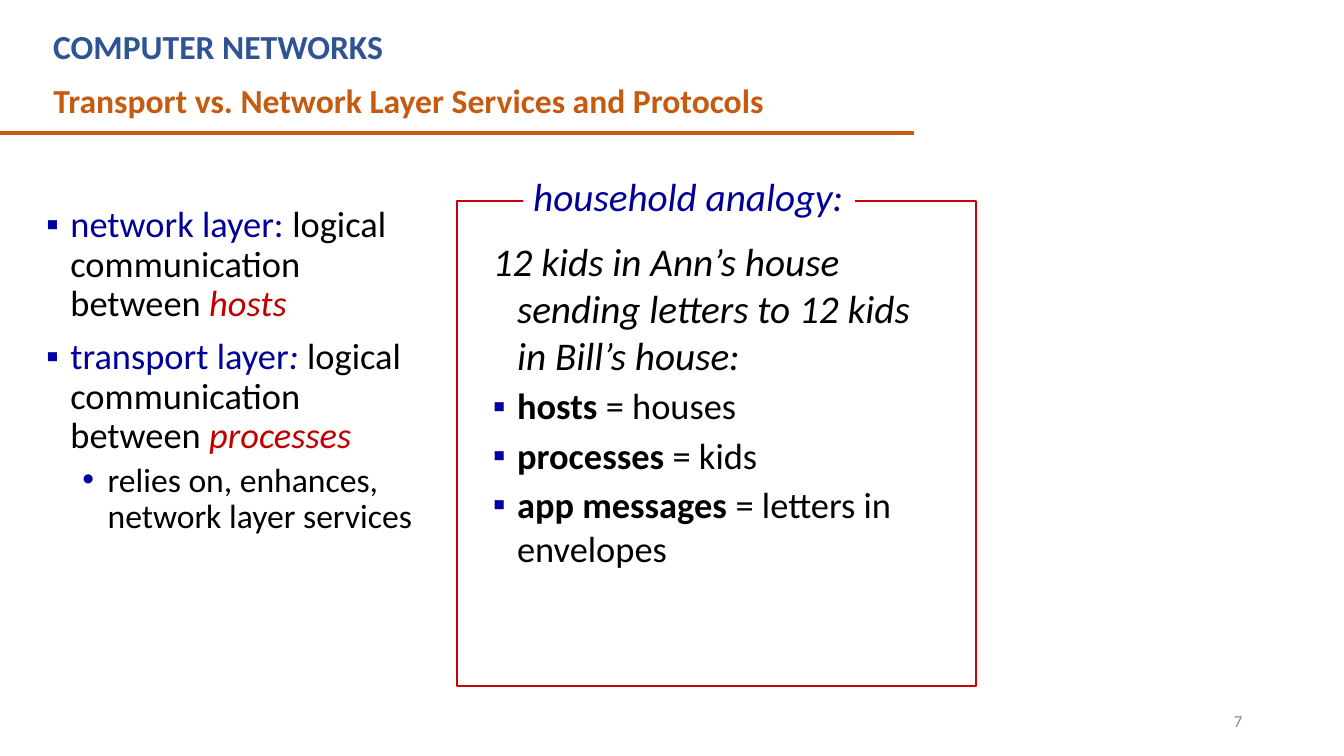
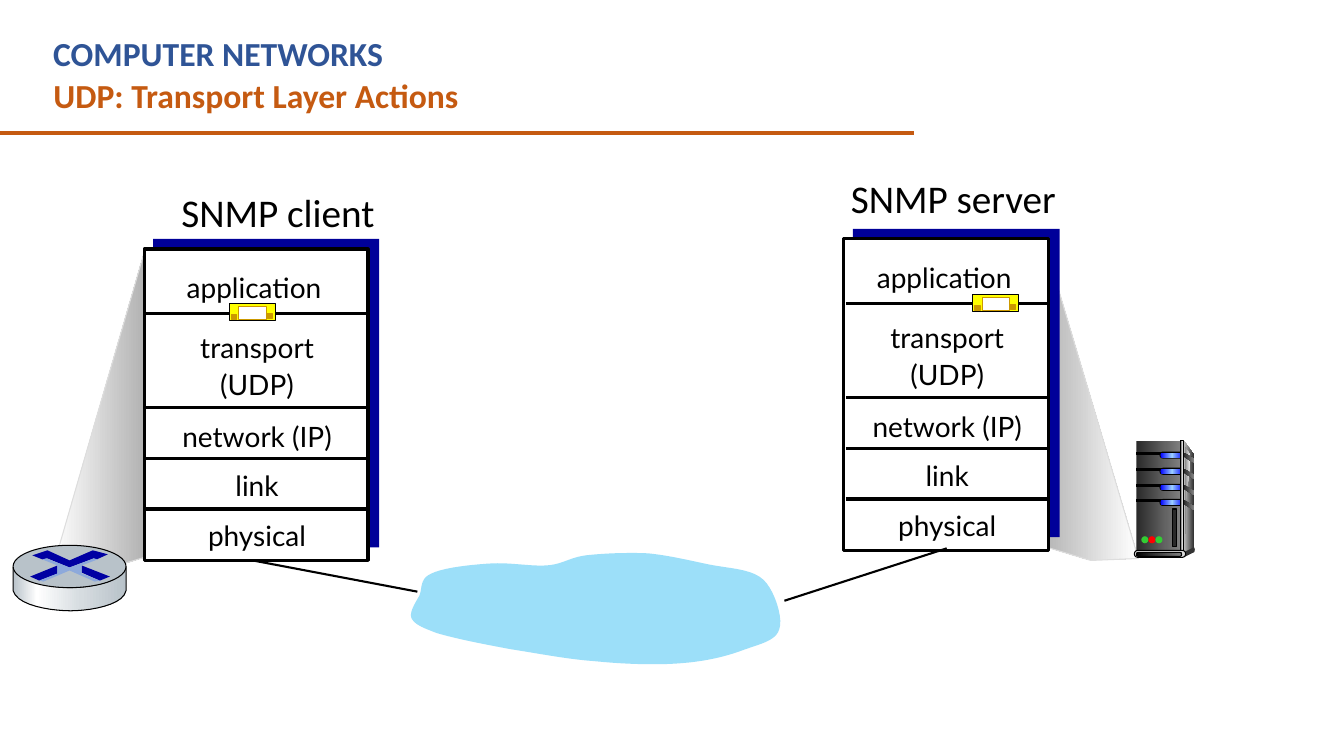
from dataclasses import dataclass
from typing import Optional, Union

from lxml.etree import SubElement as Sub
from pptx import Presentation
from pptx.dml.color import RGBColor as Rgb
from pptx.enum.shapes import MSO_CONNECTOR as Link, MSO_SHAPE as Kind
from pptx.enum.text import MSO_ANCHOR as Anchor, MSO_AUTO_SIZE as Auto, PP_ALIGN as Align
from pptx.oxml.ns import qn
from pptx.util import Pt

PX = 9144  # EMU in one px, 100 px to the inch
Paint = Union[str, tuple, None]  # colour, gradient colours or (place, colour) stops
Box = tuple[int, int, int, int]


@dataclass(frozen=True)
class Theme:
    font: str = "Calibri"
    stack_font: str = "Lato"
    blue: str = "2F5496"
    orange: str = "C55A11"
    navy: str = "000099"
    mark: str = "0000A3"
    red: str = "C00000"
    frame: str = "CC0000"
    black: str = "000000"
    white: str = "FFFFFF"
    gray: str = "888888"
    pale: str = "DDDDDD"
    dark: str = "333333"
    coal: str = "292929"
    mid: str = "808080"
    beam: str = "B2B2B2"
    cloud: str = "9CDFF9"
    steel: str = "B8C2C9"
    glow: str = "8DA9DB"
    yellow: str = "FFFF00"
    gold: str = "CC9900"
    green: str = "33CC33"
    lamp: str = "FF0000"
    glass: tuple = ("0000FF", "99CCFF", "0000FF")
    chrome: tuple = ((0, "B8C2C9"), (21, "FFFFFF"), (60, "D6DCE0"), (100, "B8C2C9"))
    head: int = 24
    lead: int = 28
    body: int = 26
    sub: int = 24
    layer: int = 20
    foot: int = 12


T = Theme()


@dataclass(frozen=True)
class Run:
    text: str
    size: int = T.body
    color: str = T.black
    bold: bool = False
    slant: bool = False
    font: str = T.font


@dataclass(frozen=True)
class Para:
    runs: tuple[Run, ...]
    align: Align = Align.LEFT
    space: Optional[float] = None
    before: int = 0
    left: int = 0
    hang: int = 0
    mark: str = ""
    level: int = 0


@dataclass(frozen=True)
class Stack:
    name: str
    label: Box
    left: int
    top: int
    width: int


# Text
def write(frame, paras: tuple[Para, ...]) -> None:
    frame.word_wrap = True
    frame.auto_size = Auto.NONE
    for i, item in enumerate(paras):
        par = frame.paragraphs[0] if i == 0 else frame.add_paragraph()
        par.alignment, par.level = item.align, item.level
        par.space_before = Pt(item.before)
        if item.space:
            par.line_spacing = item.space
        prop = par._p.get_or_add_pPr()
        prop.set("marL", str(item.left * PX))
        prop.set("indent", str(-item.hang * PX))
        if item.mark:
            Sub(Sub(prop, qn("a:buClr")), qn("a:srgbClr"), val=T.mark)
            Sub(prop, qn("a:buFont"), typeface="Arial")
            Sub(prop, qn("a:buChar"), char=item.mark)
        else:
            Sub(prop, qn("a:buNone"))
        for part in item.runs:
            run = par.add_run()
            run.text = part.text
            font = run.font
            font.name, font.size = part.font, Pt(part.size)
            font.bold, font.italic = part.bold, part.slant
            font.color.rgb = Rgb.from_string(part.color)


def label(slide, box: Box, *paras: Para, fill: Paint = None):
    item = slide.shapes.add_textbox(*(n * PX for n in box))
    write(item.text_frame, paras)
    if fill:
        paint(item, fill)
    return item


# Shapes
def paint(item, fill: Paint, edge: str = "", width: float = 0.75) -> None:
    if fill is None:
        item.fill.background()
    elif isinstance(fill, str):
        item.fill.solid()
        item.fill.fore_color.rgb = Rgb.from_string(fill)
    else:
        if isinstance(fill[0], str):
            fill = tuple((100 * i // (len(fill) - 1), c) for i, c in enumerate(fill))
        item.fill.gradient()
        item.fill.gradient_angle = 0
        stops = item._element.spPr.find(qn("a:gradFill")).find(qn("a:gsLst"))
        for old in list(stops):
            stops.remove(old)
        for place, color in fill:
            stop = Sub(stops, qn("a:gs"), pos=str(place * 1000))
            Sub(stop, qn("a:srgbClr"), val=color)
    if edge:
        item.line.color.rgb = Rgb.from_string(edge)
        item.line.width = Pt(width)
    else:
        item.line.fill.background()


def shape(slide, box: Box, fill: Paint, edge: str = "", width: float = 0.75,
          kind: Kind = Kind.RECTANGLE) -> None:
    item = slide.shapes.add_shape(kind, *(n * PX for n in box))
    item.shadow.inherit = False
    if kind == Kind.ROUNDED_RECTANGLE:
        item.adjustments[0] = 0.5
    paint(item, fill, edge, width)


def line(slide, a: tuple[int, int], b: tuple[int, int], color: str, width: float) -> None:
    item = slide.shapes.add_connector(Link.STRAIGHT, *(n * PX for n in a + b))
    item.line.color.rgb = Rgb.from_string(color)
    item.line.width = Pt(width)
    Sub(item._element.spPr, qn("a:effectLst"))


def free(slide, nodes: tuple, fill: Paint, edge: str = "") -> None:
    """A node is a corner (2 numbers) or a cubic curve (6 numbers)."""
    spots = [nodes[0]]
    for node in nodes[1:]:
        if len(node) == 2:
            spots.append(node)
            continue
        ends = (spots[-1], node[:2], node[2:4], node[4:])
        for step in range(1, 11):
            t = step / 10
            mix = ((1 - t) ** 3, 3 * t * (1 - t) ** 2, 3 * t * t * (1 - t), t ** 3)
            spots.append(tuple(sum(m * e[k] for m, e in zip(mix, ends)) for k in (0, 1)))
    spots = [(x * PX, y * PX) for x, y in spots]
    pen = slide.shapes.build_freeform(*spots[0], scale=1.0)
    pen.add_line_segments(spots[1:], close=True)
    item = pen.convert_to_shape()
    item.shadow.inherit = False
    paint(item, fill, edge)


# Shared slide head
def start(deck, title: str, top: int, low: int):
    slide = deck.slides.add_slide(deck.slide_layouts[5])
    head = slide.shapes.title
    head.left, head.top, head.width, head.height = (n * PX for n in (43, low, 875, 50))
    write(head.text_frame, (Para((Run(title, T.head, T.orange, True),)),))
    head.text_frame.vertical_anchor = Anchor.TOP
    line(slide, (-1, 132), (907, 132), T.orange, 3)
    label(slide, (43, top, 820, 50), Para((Run("COMPUTER NETWORKS", T.head, T.blue, True),)))
    return slide


# Slide: household analogy
def layers(deck) -> None:
    slide = start(deck, "Transport vs. Network Layer Services and Protocols", 21, 74)
    page = label(slide, (942, 695, 300, 40),
                 Para((Run("7", T.foot, T.gray),), align=Align.RIGHT))
    page.text_frame.vertical_anchor = Anchor.MIDDLE

    shape(slide, (453, 199, 515, 482), None, T.frame, 1.5)
    label(slide, (519, 175, 329, 49),
          Para((Run("household analogy:", T.lead, T.navy, slant=True),), space=0.8), fill=T.white)
    story = "12 kids in Ann’s house sending letters to 12 kids in Bill’s house:"
    pairs = (("hosts", " = houses"), ("processes", " = kids"),
             ("app messages ", "= letters in envelopes"))
    label(slide, (464, 230, 484, 465),
          Para((Run(story, T.lead, slant=True),), left=39, hang=24),
          *(Para((Run(a, bold=True), Run(b)), before=4, left=39, hang=24, mark="▪")
            for a, b in pairs))

    tail = Run(" logical communication between ")
    tops = ((0, (Run("network layer:", color=T.navy),), "hosts"),
            (10, (Run("transport layer", color=T.navy),
                  Run(":", color=T.navy, slant=True)), "processes"))
    label(slide, (21, 200, 412, 508),
          *(Para((*runs, tail, Run(end, color=T.red, slant=True)),
                 space=0.9, before=gap, left=39, hang=24, mark="▪")
            for gap, runs, end in tops),
          Para((Run("relies on, enhances, network layer services", T.sub),),
               space=0.9, before=5, left=76, hang=25, mark="•", level=1))


# Parts of the UDP slide
def tower(slide) -> None:
    free(slide, ((1174, 437), (1184, 451), (1184, 544), (1172, 548)), (T.pale, T.dark))
    shape(slide, (1127, 437, 44, 112), (T.coal, T.mid))
    free(slide, ((1175, 443), (1181, 452), (1176, 500), (1175, 545)), (T.mid, "F8F8F8"))
    slots = (449, 465, 481, 496)
    pill = Kind.ROUNDED_RECTANGLE
    for y in slots:
        shape(slide, (1127, y, 25, 2), T.black, T.black)
        shape(slide, (1150, y - 1, 24, 7), T.black, kind=pill)
        shape(slide, (1151, y, 23, 5), T.glass, kind=pill)
    shape(slide, (1171, 437, 3, 112), (T.dark, T.pale, T.dark), T.black)
    for y in slots:
        free(slide, ((1174, y), (1184, y + 6), (1184, y + 10), (1174, y + 4)), (T.coal, T.mid))
    shape(slide, (1183, 543, 2, 5), T.dark, kind=Kind.OVAL)
    free(slide, ((1174, 548), (1174, 553), (1184, 548), (1184, 543)), T.dark)
    shape(slide, (1125, 546, 51, 7), T.pale, T.black, kind=pill)
    shape(slide, (1127, 548, 45, 4), (T.black, T.mid), T.black, kind=pill)
    for i, color in enumerate((T.green, T.lamp, T.green)):
        shape(slide, (1132 + 7 * i, 532, 7, 7), color, kind=Kind.OVAL)
    shape(slide, (1163, 505, 4, 37), T.coal, T.black)


def router(slide) -> None:
    free(slide, ((125, 563), (125, 586), (122, 601, 88, 606, 70, 606),
                 (51, 606, 17, 601, 13, 586), (13, 563),
                 (19, 576, 50, 583, 69, 583), (88, 583, 120, 578, 125, 563)), T.chrome, T.black)
    shape(slide, (13, 541, 112, 42), T.steel, T.black, kind=Kind.OVAL)
    free(slide, ((92, 546), (107, 550), (96, 555), (93, 554), (69, 563), (47, 554),
                 (42, 555), (32, 551), (47, 546), (69, 556)), T.mark)
    free(slide, ((81, 561), (109, 572), (99, 576), (81, 568)), T.mark)
    free(slide, ((57, 561), (57, 569), (39, 576), (30, 572)), T.mark)
    free(slide, ((42, 555), (46, 554), (69, 563), (93, 554), (97, 555), (81, 561), (81, 569),
                 (99, 576), (94, 577), (69, 566), (43, 577), (39, 576), (57, 569), (57, 561)),
         T.glow)


def pile(slide, stack: Stack) -> None:
    x, y, w = stack.left, stack.top, stack.width
    label(slide, stack.label, Para((Run(stack.name, T.lead),)))
    shape(slide, (x + 9, y - 10, w + 2, 306), T.navy)
    shape(slide, (x, y, w, 309), T.white, T.black, 2.25)
    for drop in (64, 157, 208, 258):
        line(slide, (x + 2, y + drop), (x + w, y + drop), T.black, 2.25)
    rows = ((13, -2, ("application",)), (73, 1, ("transport", "(UDP)")),
            (161, 1, ("network (IP)",)), (210, 1, ("link",)), (259, 1, ("physical",)))
    for drop, shift, words in rows:
        label(slide, (x + 11 + shift, y + drop, w - 22, 11 + 35 * len(words)),
              *(Para((Run(word, T.layer, font=T.stack_font),), align=Align.CENTER, space=1.1)
                for word in words))


def packet(slide, x: int, y: int) -> None:
    shape(slide, (x, y, 45, 17), T.yellow, T.black)
    shape(slide, (x + 9, y + 3, 27, 13), T.white, T.gold)
    for dx, dy in ((37, 10), (2, 11)):
        shape(slide, (x + dx, y + dy, 5, 5), T.gold, T.gold)


# Slide: UDP actions
def udp(deck) -> None:
    slide = start(deck, "UDP: Transport Layer Actions", 28, 69)
    free(slide, ((1129, 554), (1035, 237), (1032, 541), (1082, 556)), (T.beam, T.white), T.pale)
    tower(slide)
    pile(slide, Stack("SNMP server", (834, 168, 226, 57), 837, 237, 203))
    line(slide, (939, 544), (778, 596), T.black, 1.5)
    line(slide, (240, 554), (414, 587), T.black, 1.5)
    free(slide, ((581, 551), (565, 553, 558, 560, 542, 561), (527, 562, 507, 558, 488, 559),
                 (469, 560, 440, 563, 428, 569), (416, 574, 419, 584, 416, 591),
                 (412, 598, 406, 607, 408, 613), (411, 619, 417, 622, 433, 628),
                 (449, 633, 479, 639, 506, 644), (532, 648, 562, 654, 590, 656),
                 (619, 659, 652, 660, 676, 658), (701, 656, 721, 651, 737, 645),
                 (753, 639, 770, 636, 773, 624), (777, 613, 768, 585, 757, 575),
                 (745, 564, 722, 564, 703, 560), (684, 556, 663, 551, 643, 549),
                 (623, 548, 598, 549, 581, 551)), T.cloud)
    free(slide, ((52, 565), (144, 247), (143, 553), (100, 566)), (T.white, T.beam), T.pale)
    pile(slide, Stack("SNMP client", (170, 182, 214, 57), 143, 247, 222))
    router(slide)
    for spot in ((228, 301), (965, 292)):
        packet(slide, *spot)


def main() -> None:
    deck = Presentation()
    deck.slide_width, deck.slide_height = 1333 * PX, 750 * PX
    layers(deck)
    udp(deck)
    deck.save("out.pptx")


if __name__ == "__main__":
    main()
